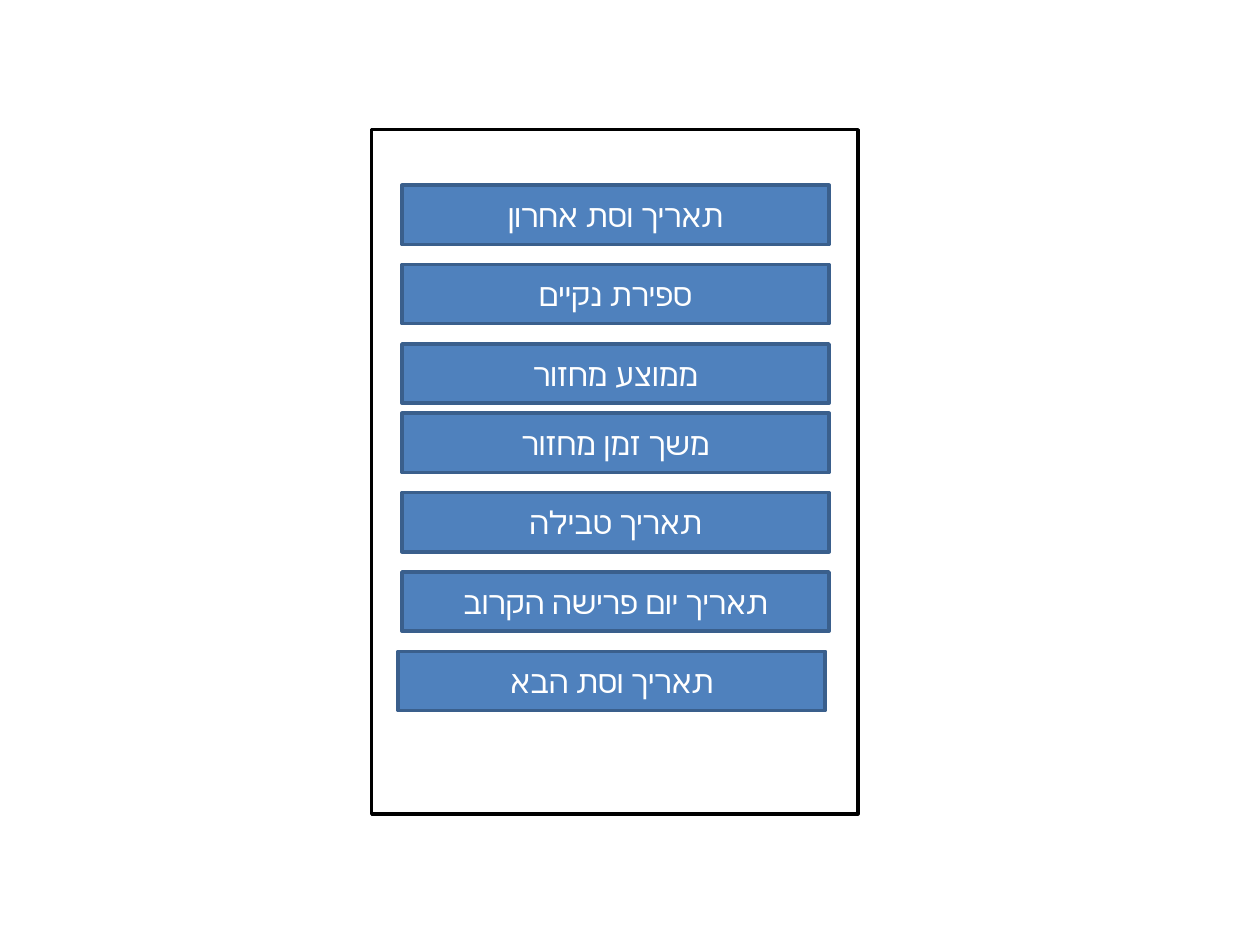
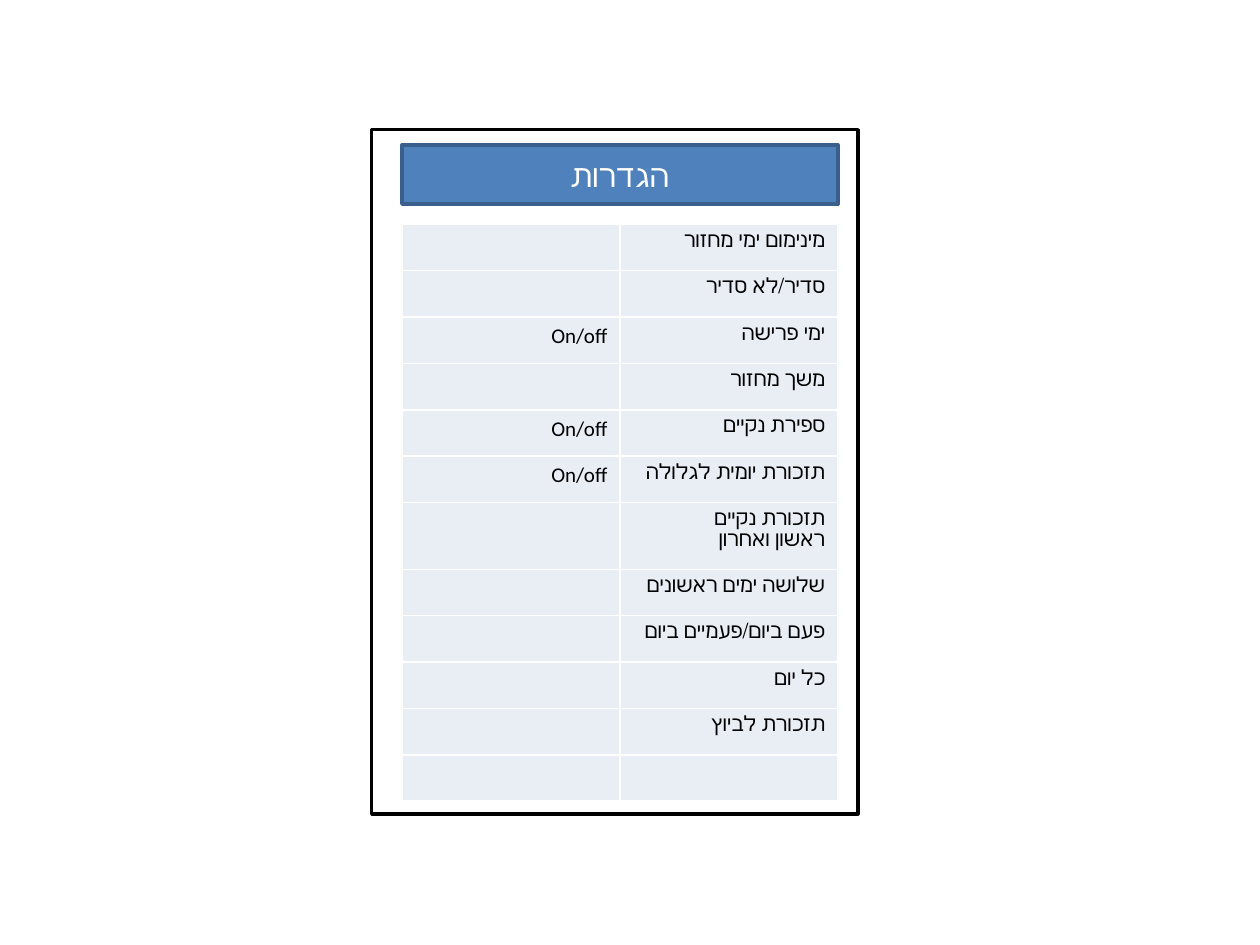
from lxml import etree
from pptx import Presentation
from pptx.dml.color import RGBColor
from pptx.enum.shapes import MSO_SHAPE
from pptx.enum.text import MSO_ANCHOR, MSO_AUTO_SIZE, PP_ALIGN
from pptx.oxml.ns import qn
from pptx.util import Inches, Pt

RECT = MSO_SHAPE.RECTANGLE
MIDDLE = MSO_ANCHOR.MIDDLE
NO_FIT = MSO_AUTO_SIZE.NONE
CENTER, RIGHT = PP_ALIGN.CENTER, PP_ALIGN.RIGHT

FONT = "Calibri"
WHITE, BLACK = "FFFFFF", "000000"
BLUE, DARK_BLUE, PALE = "4F81BD", "3A5F8C", "E9EDF4"

prs = Presentation()
prs.slide_width, prs.slide_height = Inches(10), Inches(7.5)
COL, ROW = prs.slide_width / 100, prs.slide_height / 100
TITLE_ONLY, BLANK = prs.slide_layouts[5], prs.slide_layouts[6]

FRAME = (29.5, 13.73, 38.6, 72.4)
LEFT, BAR_W, BAR_H, BAR_STEP = 31.9, 33.9, 6.27, 8.4
PANEL_W = 34.6


def rgb(value):
    return RGBColor.from_string(value)


def style_box(sp, box, fill, line, text=""):
    x, y, w, h = box
    sp.left, sp.top = round(x * COL), round(y * ROW)
    sp.width, sp.height = round(w * COL), round(h * ROW)
    sp.fill.solid()
    sp.fill.fore_color.rgb = rgb(fill)
    sp.line.color.rgb = rgb(line)
    sp.line.width = Pt(2)
    if text:
        tf = sp.text_frame
        tf.text = text
        tf.word_wrap = True
        tf.auto_size = NO_FIT
        tf.vertical_anchor = MIDDLE
        p = tf.paragraphs[0]
        p.alignment = CENTER
        font = p.runs[0].font
        font.name, font.size = FONT, Pt(18)
        font.color.rgb = rgb(WHITE)


frames = []
for layout in (BLANK, TITLE_ONLY):
    s = prs.slides.add_slide(layout)
    frame = s.shapes.add_shape(RECT, 0, 0, 0, 0)
    frame.shadow.inherit = False
    style_box(frame, FRAME, WHITE, BLACK)
    frames.append(frame)
menu, settings = prs.slides

groups = [
    (19.6, ["תאריך וסת אחרון", "ספירת נקיים", "ממוצע מחזור"]),
    (43.73, ["משך זמן מחזור", "תאריך טבילה", "תאריך יום פרישה הקרוב", "תאריך וסת הבא"]),
]
for top, labels in groups:
    for i, label in enumerate(labels):
        sp = menu.shapes.add_shape(RECT, 0, 0, 0, 0)
        sp.shadow.inherit = False
        style_box(sp, (LEFT, top + i * BAR_STEP, BAR_W, BAR_H), BLUE, DARK_BLUE, label)
sp.left = round(31.6 * COL)

title = settings.shapes.title
style_box(title, (LEFT, 15.33, PANEL_W, BAR_H), BLUE, DARK_BLUE, "הגדרות")
frames[1].element.addnext(title.element)

options = [
    ("", "מינימום ימי מחזור"),
    ("", "סדיר/לא סדיר"),
    ("On/off", "ימי פרישה"),
    ("", "משך מחזור"),
    ("On/off", "ספירת נקיים"),
    ("On/off", "תזכורת יומית לגלולה"),
    ("", "תזכורת נקיים\nראשון ואחרון"),
    ("", "שלושה ימים ראשונים"),
    ("", "פעם ביום/פעמיים ביום"),
    ("", "כל יום"),
    ("", "תזכורת לביוץ"),
    ("", ""),
]
heights = [7.07 if "\n" in name else 4.91 for _, name in options]
table = settings.shapes.add_table(
    len(options), 2, round(LEFT * COL), round(23.73 * ROW),
    round(PANEL_W * COL), round(sum(heights) * ROW)).table
table.first_row = table.horz_banding = False
for row, height, texts in zip(table.rows, heights, options):
    row.height = round(height * ROW)
    for cell, text in zip(row.cells, texts):
        cell.text = text
        tc_pr = cell._tc.get_or_add_tcPr()
        for side in ("a:lnL", "a:lnR", "a:lnT", "a:lnB"):
            ln = etree.SubElement(tc_pr, qn(side), w=str(Pt(1)))
            fill = etree.SubElement(ln, qn("a:solidFill"))
            etree.SubElement(fill, qn("a:srgbClr"), val=WHITE)
        cell.fill.solid()
        cell.fill.fore_color.rgb = rgb(PALE)
        for p in cell.text_frame.paragraphs:
            p.alignment = RIGHT
            p._p.get_or_add_pPr().set("rtl", "1")
            for r in p.runs:
                r.font.name, r.font.size = FONT, Pt(12)
                r.font.color.rgb = rgb(BLACK)
            if not p.runs:
                etree.SubElement(p._p, qn("a:endParaRPr"), sz="1200")

prs.save("out.pptx")
